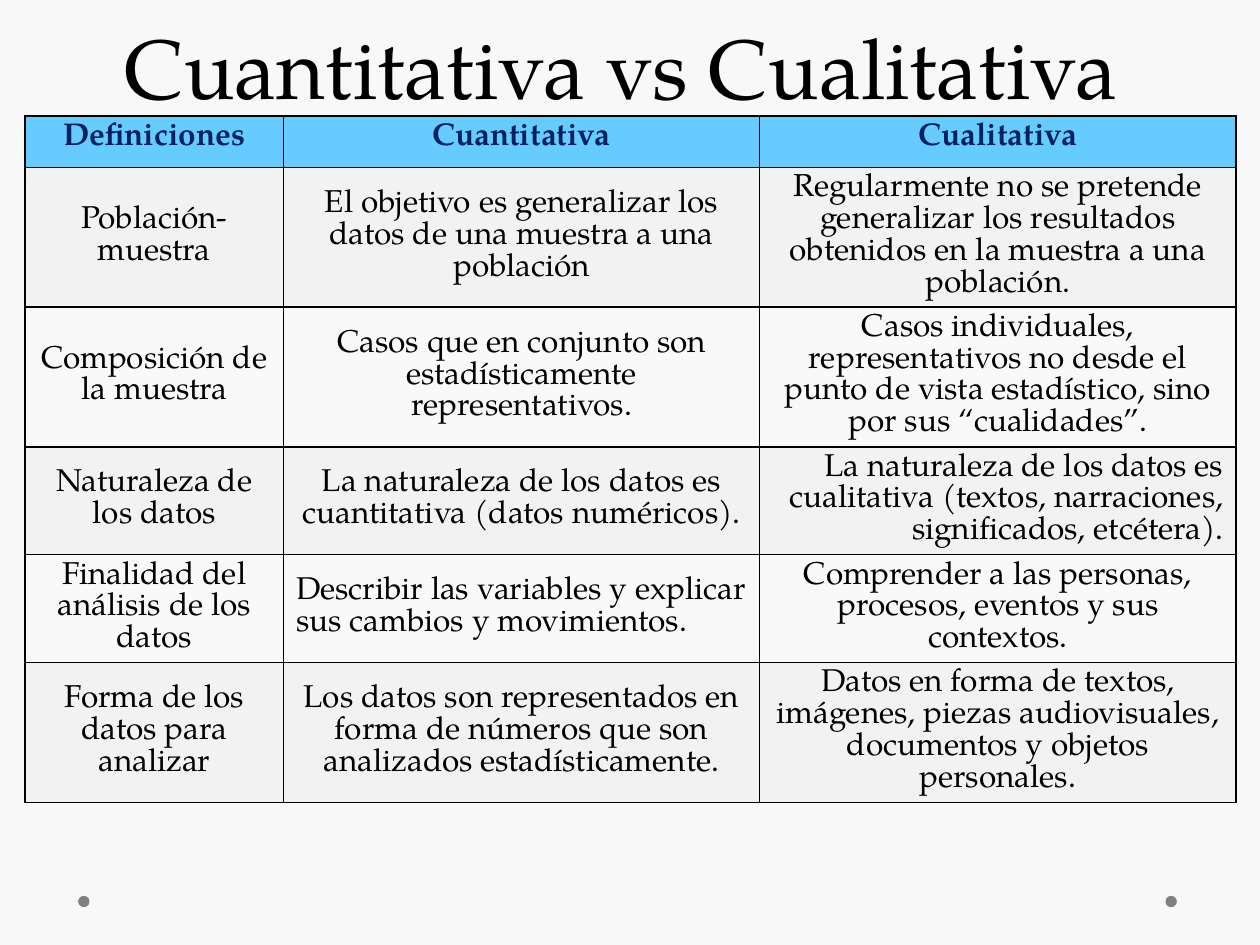
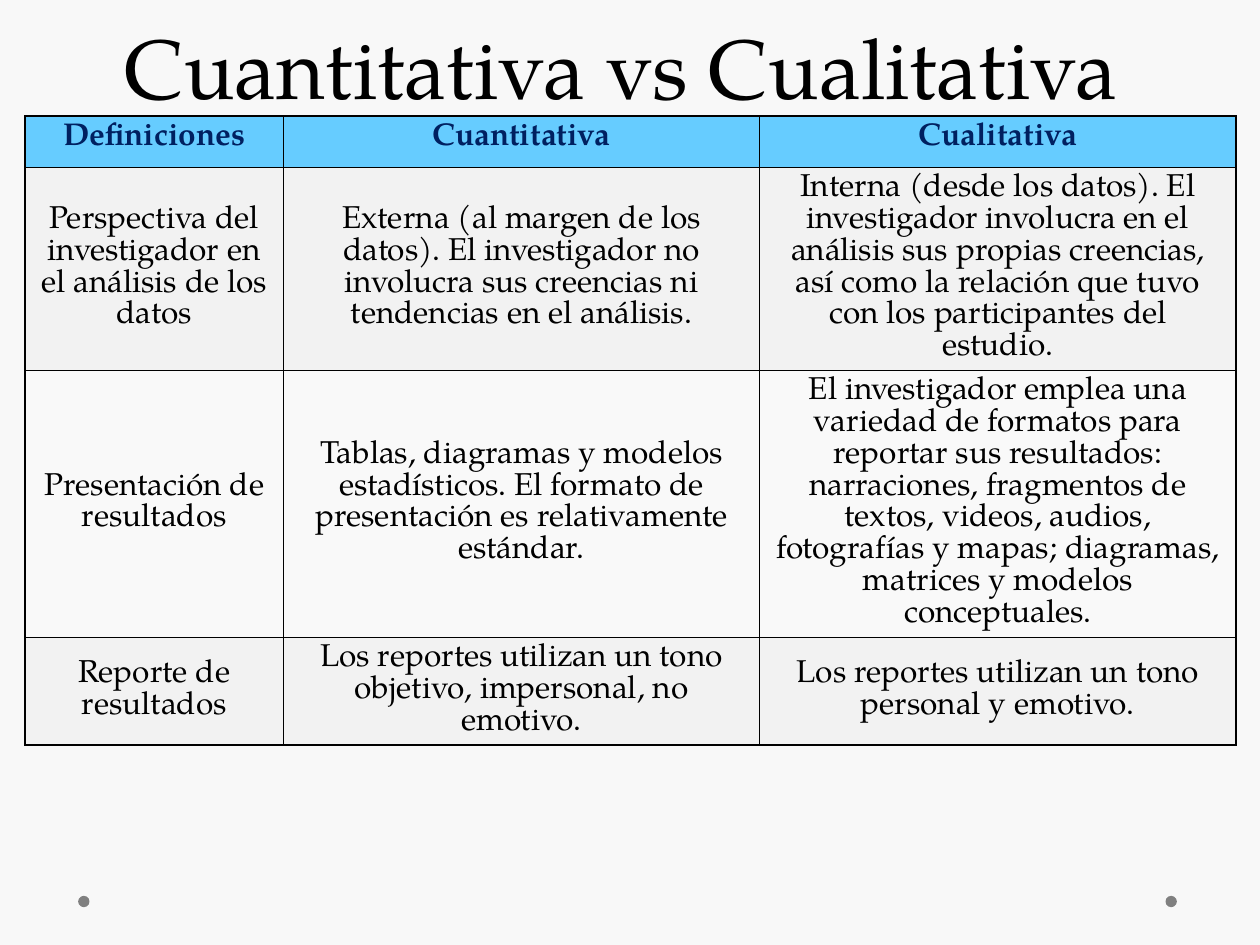
from dataclasses import dataclass

from lxml import etree
from pptx import Presentation
from pptx.dml.color import RGBColor
from pptx.enum.shapes import MSO_SHAPE
from pptx.enum.text import MSO_ANCHOR, PP_ALIGN
from pptx.oxml.ns import qn
from pptx.slide import Slide
from pptx.table import _Cell
from pptx.text.text import TextFrame
from pptx.util import Inches, Pt

LEFT, CENTER, RIGHT = PP_ALIGN.LEFT, PP_ALIGN.CENTER, PP_ALIGN.RIGHT
TOP, MIDDLE, BOTTOM = MSO_ANCHOR.TOP, MSO_ANCHOR.MIDDLE, MSO_ANCHOR.BOTTOM
OVAL = MSO_SHAPE.OVAL

FONT = "TeX Gyre Pagella"
BACKGROUND, INK, DOT_GRAY = "F8F8F8", "000000", "808080"
HEADER_FILL, ROW_FILLS = "66CCFF", ("F2F2F2", "F9F9F9")
TITLE_FORMAT = {"size": Pt(48), "name": FONT, "bold": False}
HEADER_FORMAT = {"size": Pt(18), "name": FONT, "bold": True}
BODY_FORMAT = {"size": Pt(18), "name": FONT, "bold": False}
TITLE_SPACING, CELL_SPACING = Pt(58), Pt(18.13)

TITLE = "Cuantitativa vs Cualitativa"
HEADINGS = ("Definiciones", "Cuantitativa", "Cualitativa")
COLUMN_WIDTHS = (2.05, 3.78, 3.78)
ROW_HEIGHT = 0.41
DOT_LEFTS, DOT_TOP, DOT_SIZE = (9.25, 0.62), 7.11, 0.09


@dataclass(frozen=True)
class Entry:
    """Text of one table cell with its placement."""
    text: str
    align: PP_ALIGN = CENTER
    anchor: MSO_ANCHOR = MIDDLE


@dataclass(frozen=True)
class Comparison:
    """One aspect compared between both approaches."""
    aspect: Entry
    quantitative: Entry
    qualitative: Entry


SAMPLE_AND_DATA = (
    Comparison(
        Entry("Población-muestra"),
        Entry("El objetivo es generalizar los datos de una muestra a una población"),
        Entry("Regularmente no se pretende generalizar los resultados obtenidos "
              "en la muestra a una población."),
    ),
    Comparison(
        Entry("Composición de la muestra"),
        Entry("Casos que en conjunto son estadísticamente\nrepresentativos."),
        Entry("Casos individuales, representativos no desde el punto de vista "
              "estadístico, sino por sus “cualidades”."),
    ),
    Comparison(
        Entry("Naturaleza de los datos"),
        Entry("La naturaleza de los datos es cuantitativa (datos numéricos)."),
        Entry("La naturaleza de los datos es cualitativa (textos, narraciones, "
              "significados, etcétera).", RIGHT, TOP),
    ),
    Comparison(
        Entry("Finalidad del análisis de los datos"),
        Entry("Describir las variables y explicar sus cambios y movimientos.", LEFT),
        Entry("Comprender a las personas, procesos, eventos y sus contextos."),
    ),
    Comparison(
        Entry("Forma de los datos para analizar"),
        Entry("Los datos son representados en forma de números que son analizados "
              "estadísticamente."),
        Entry("Datos en forma de textos, imágenes, piezas audiovisuales, documentos "
              "y objetos personales."),
    ),
)

ANALYSIS_AND_REPORT = (
    Comparison(
        Entry("Perspectiva del investigador en el análisis de los datos"),
        Entry("Externa (al margen de los datos). El investigador no involucra sus "
              "creencias ni tendencias en el análisis."),
        Entry("Interna (desde los datos). El investigador involucra en el análisis "
              "sus propias creencias,\nasí como la relación que tuvo con los "
              "participantes del estudio."),
    ),
    Comparison(
        Entry("Presentación de resultados"),
        Entry("Tablas, diagramas y modelos estadísticos. El formato de presentación "
              "es relativamente estándar."),
        Entry("El investigador emplea una variedad de formatos para reportar sus "
              "resultados: narraciones, fragmentos de textos, videos, audios, "
              "fotografías y mapas; diagramas, matrices y modelos conceptuales."),
    ),
    Comparison(
        Entry("Reporte de resultados"),
        Entry("Los reportes utilizan un tono objetivo, impersonal, no emotivo."),
        Entry("Los reportes utilizan un tono personal y emotivo."),
    ),
)


def color(value: str) -> RGBColor:
    """Turn a hex string into a colour."""
    return RGBColor.from_string(value)


def write(frame: TextFrame, entry: Entry, font_format: dict, spacing: Pt,
          ink: str = INK) -> None:
    """Write an entry into a text frame, one paragraph a line."""
    frame.text = entry.text
    for paragraph in frame.paragraphs:
        paragraph.alignment = entry.align
        paragraph.line_spacing = spacing
        for run in paragraph.runs:
            for attribute, value in font_format.items():
                setattr(run.font, attribute, value)
            run.font.color.rgb = color(ink)


def add_borders(cell: _Cell) -> None:
    """Draw a thin line on the four sides of a cell."""
    properties = cell._tc.get_or_add_tcPr()
    for position, side in enumerate(("a:lnL", "a:lnR", "a:lnT", "a:lnB")):
        line = etree.Element(qn(side), w=str(Pt(1)))
        fill = etree.SubElement(line, qn("a:solidFill"))
        etree.SubElement(fill, qn("a:srgbClr"), val=INK)
        properties.insert(position, line)


def fill_cell(cell: _Cell, entry: Entry, fill: str, font_format: dict, ink: str = INK) -> None:
    """Give a cell its text, fill and borders."""
    write(cell.text_frame, entry, font_format, CELL_SPACING, ink)
    cell.vertical_anchor = entry.anchor
    cell.fill.solid()
    cell.fill.fore_color.rgb = color(fill)
    add_borders(cell)


def add_dots(slide: Slide) -> None:
    """Place the two footer dots."""
    for left in DOT_LEFTS:
        dot = slide.shapes.add_shape(
            OVAL, Inches(left), Inches(DOT_TOP), Inches(DOT_SIZE), Inches(DOT_SIZE))
        dot.shadow.inherit = False
        dot.fill.solid()
        dot.fill.fore_color.rgb = color(DOT_GRAY)
        dot.line.fill.background()


def add_title(slide: Slide) -> None:
    """Write the slide title."""
    title = slide.shapes.add_textbox(Inches(0.43), Inches(0.06), Inches(9), Inches(0.91))
    frame = title.text_frame
    frame.word_wrap = True
    frame.vertical_anchor = BOTTOM
    write(frame, Entry(TITLE), TITLE_FORMAT, TITLE_SPACING)


def add_comparison_table(slide: Slide, comparisons: tuple[Comparison, ...]) -> None:
    """Draw the header row and one row for each comparison."""
    row_count = len(comparisons) + 1
    table = slide.shapes.add_table(
        row_count, len(HEADINGS), Inches(0.2), Inches(0.92),
        Inches(sum(COLUMN_WIDTHS)), Inches(ROW_HEIGHT * row_count)).table
    for column, width in zip(table.columns, COLUMN_WIDTHS):
        column.width = Inches(width)
    for row in table.rows:
        row.height = Inches(ROW_HEIGHT)
    for column, heading in enumerate(HEADINGS):
        fill_cell(table.cell(0, column), Entry(heading, anchor=TOP),
                  HEADER_FILL, HEADER_FORMAT, "002060")
    for index, comparison in enumerate(comparisons):
        entries = (comparison.aspect, comparison.quantitative, comparison.qualitative)
        for column, entry in enumerate(entries):
            fill_cell(table.cell(index + 1, column), entry,
                      ROW_FILLS[index % len(ROW_FILLS)], BODY_FORMAT)


def main() -> None:
    """Build and save the presentation."""
    presentation = Presentation()
    presentation.slide_width, presentation.slide_height = Inches(10), Inches(7.5)
    for comparisons in (SAMPLE_AND_DATA, ANALYSIS_AND_REPORT):
        slide = presentation.slides.add_slide(presentation.slide_layouts[6])
        slide.background.fill.solid()
        slide.background.fill.fore_color.rgb = color(BACKGROUND)
        add_dots(slide)
        add_title(slide)
        add_comparison_table(slide, comparisons)
    presentation.save("out.pptx")


if __name__ == "__main__":
    main()
